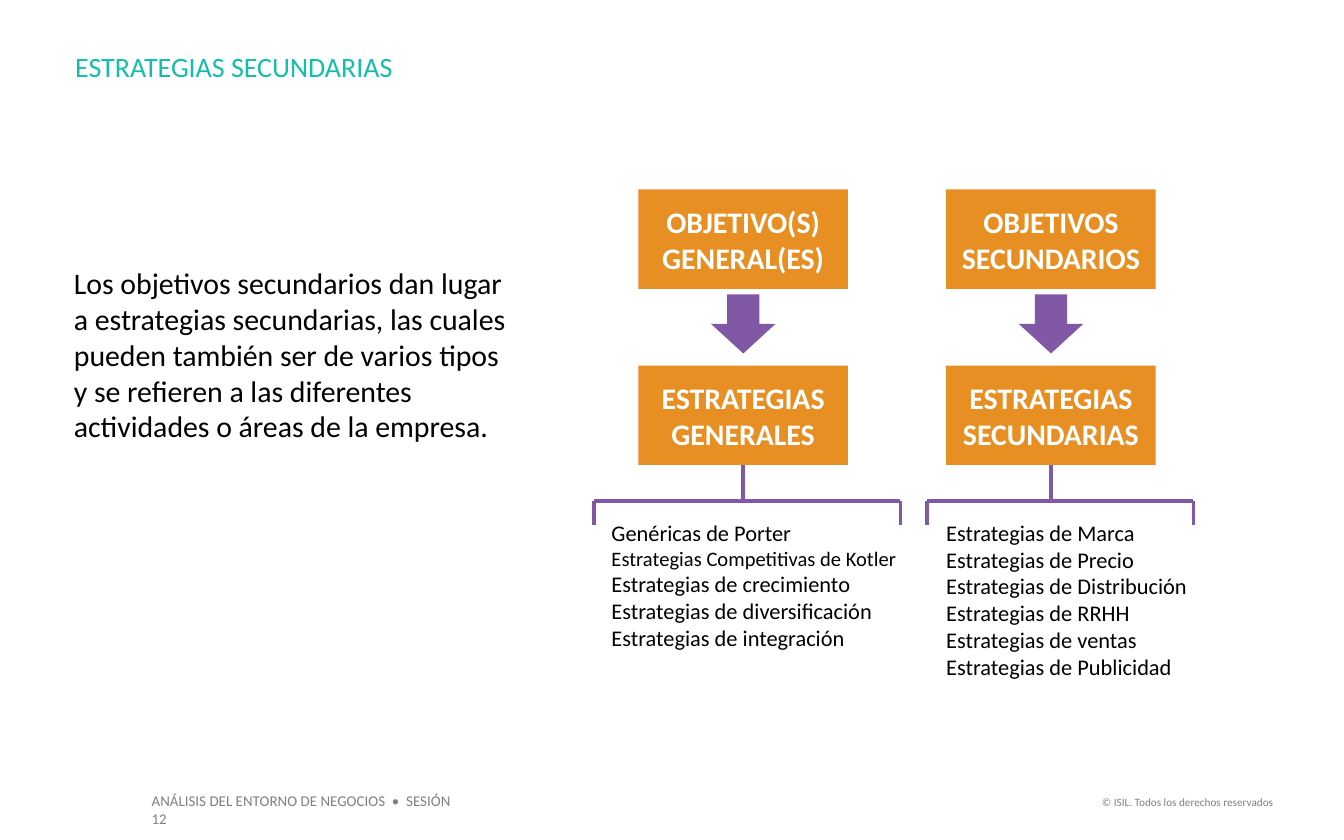
from lxml.etree import SubElement
from pptx import Presentation
from pptx.dml.color import RGBColor
from pptx.enum.shapes import MSO_CONNECTOR, MSO_SHAPE
from pptx.enum.text import MSO_ANCHOR, PP_ALIGN
from pptx.oxml.ns import qn
from pptx.util import Inches, Pt

COLORS = {
    "title": "15BDAD",
    "text": "000000",
    "footer": "808080",
    "box": "E88F23",
    "box_text": "FFFFFF",
    "accent": "8058A6",
}
FONT = "Calibri"
BOX_WIDTH, BOX_HEIGHT, BOX_STEP = 1.56, 0.74, 1.31
ARROW_LENGTH, ARROW_BREADTH = 0.44, 0.48
BRACKET_DROP, BRACKET_LEG = 0.27, 0.18


def color(name):
    return RGBColor.from_string(COLORS[name])


def write_lines(frame, lines, size, color_name, align=PP_ALIGN.LEFT, bold=False):
    """Write one paragraph per line; a line may be a (text, size) pair."""
    for index, line in enumerate(lines):
        text, line_size = line if isinstance(line, tuple) else (line, size)
        paragraph = frame.paragraphs[0] if index == 0 else frame.add_paragraph()
        paragraph.text = text
        paragraph.alignment = align
        paragraph.font.name = FONT
        paragraph.font.size = Pt(line_size)
        paragraph.font.bold = bold
        paragraph.font.color.rgb = color(color_name)


def add_text(slide, box, lines, size, color_name, inset=True, align=PP_ALIGN.LEFT):
    shape = slide.shapes.add_textbox(*(Inches(value) for value in box))
    frame = shape.text_frame
    frame.word_wrap = True
    if not inset:
        frame.margin_left = frame.margin_right = 0
        frame.margin_top = frame.margin_bottom = 0
    write_lines(frame, lines, size, color_name, align)


def add_filled_shape(slide, kind, box, fill):
    shape = slide.shapes.add_shape(kind, *(Inches(value) for value in box))
    shape.shadow.inherit = False
    shape.fill.solid()
    shape.fill.fore_color.rgb = color(fill)
    shape.line.fill.background()
    return shape


def add_line(slide, start_x, start_y, end_x, end_y):
    points = (Inches(value) for value in (start_x, start_y, end_x, end_y))
    line = slide.shapes.add_connector(MSO_CONNECTOR.STRAIGHT, *points)
    line.line.color.rgb = color("accent")
    line.line.width = Pt(2)
    SubElement(line._element.spPr, qn("a:effectLst"))
    return line


def add_bracket(slide, parent, center, top, left, right):
    """Hang a bracket below the parent box, from left to right."""
    bar = top + BRACKET_DROP
    add_line(slide, left, bar, right, bar)
    for x in (left, right):
        add_line(slide, x, bar, x, bar + BRACKET_LEG)
    stem = add_line(slide, center, top, center, bar)
    stem.begin_connect(parent, 2)


def add_strategy_column(slide, left, top, boxes, bracket, list_box, items):
    """Stack the goal box, arrow, strategy box, bracket and list."""
    center = left + BOX_WIDTH / 2
    for index, lines in enumerate(boxes):
        box = (left, top + index * BOX_STEP, BOX_WIDTH, BOX_HEIGHT)
        shape = add_filled_shape(slide, MSO_SHAPE.RECTANGLE, box, "box")
        shape.text_frame.word_wrap = True
        shape.text_frame.vertical_anchor = MSO_ANCHOR.MIDDLE
        write_lines(shape.text_frame, lines, 16, "box_text", PP_ALIGN.CENTER, True)

    arrow_box = (center - ARROW_LENGTH / 2, top + 0.76, ARROW_LENGTH, ARROW_BREADTH)
    arrow = add_filled_shape(slide, MSO_SHAPE.RIGHT_ARROW, arrow_box, "accent")
    arrow.rotation = 90

    add_bracket(slide, shape, center, top + BOX_STEP + BOX_HEIGHT, *bracket)
    add_text(slide, list_box, items, 12, "text", inset=False)


def add_footer(slide):
    add_text(slide, (1.03, 5.84, 2.56, 0.24),
             ["ANÁLISIS DEL ENTORNO DE NEGOCIOS  •  SESIÓN 12"], 8, "footer")
    add_text(slide, (8.05, 5.87, 1.52, 0.2),
             ["© ISIL. Todos los derechos reservados"], 6, "footer", align=PP_ALIGN.RIGHT)


def main():
    presentation = Presentation()
    presentation.slide_width = Inches(10)
    presentation.slide_height = Inches(6.25)
    slide = presentation.slides.add_slide(presentation.slide_layouts[6])

    add_footer(slide)
    add_text(slide, (0.56, 0.37, 4.53, 0.25), ["ESTRATEGIAS SECUNDARIAS"],
             15, "title", inset=False)
    add_text(slide, (0.55, 1.97, 3.28, 1.35), [
        "Los objetivos secundarios dan lugar a estrategias secundarias, las cuales "
        "pueden también ser de varios tipos y se refieren a las diferentes "
        "actividades o áreas de la empresa."
    ], 16, "text", inset=False)

    add_strategy_column(
        slide, 4.75, 1.41,
        [["OBJETIVO(S)", "GENERAL(ES)"], ["ESTRATEGIAS", "GENERALES"]],
        (4.42, 6.7), (4.55, 3.86, 2.14, 0.99),
        ["Genéricas de Porter", ("Estrategias Competitivas de Kotler", 11),
         "Estrategias de crecimiento", "Estrategias de diversificación",
         "Estrategias de integración"])
    add_strategy_column(
        slide, 7.04, 1.41,
        [["OBJETIVOS", "SECUNDARIOS"], ["ESTRATEGIAS", "SECUNDARIAS"]],
        (6.9, 8.88), (7.04, 3.86, 1.81, 1.21),
        ["Estrategias de Marca", "Estrategias de Precio",
         "Estrategias de Distribución", "Estrategias de RRHH",
         "Estrategias de ventas", "Estrategias de Publicidad"])

    presentation.save("out.pptx")


if __name__ == "__main__":
    main()
